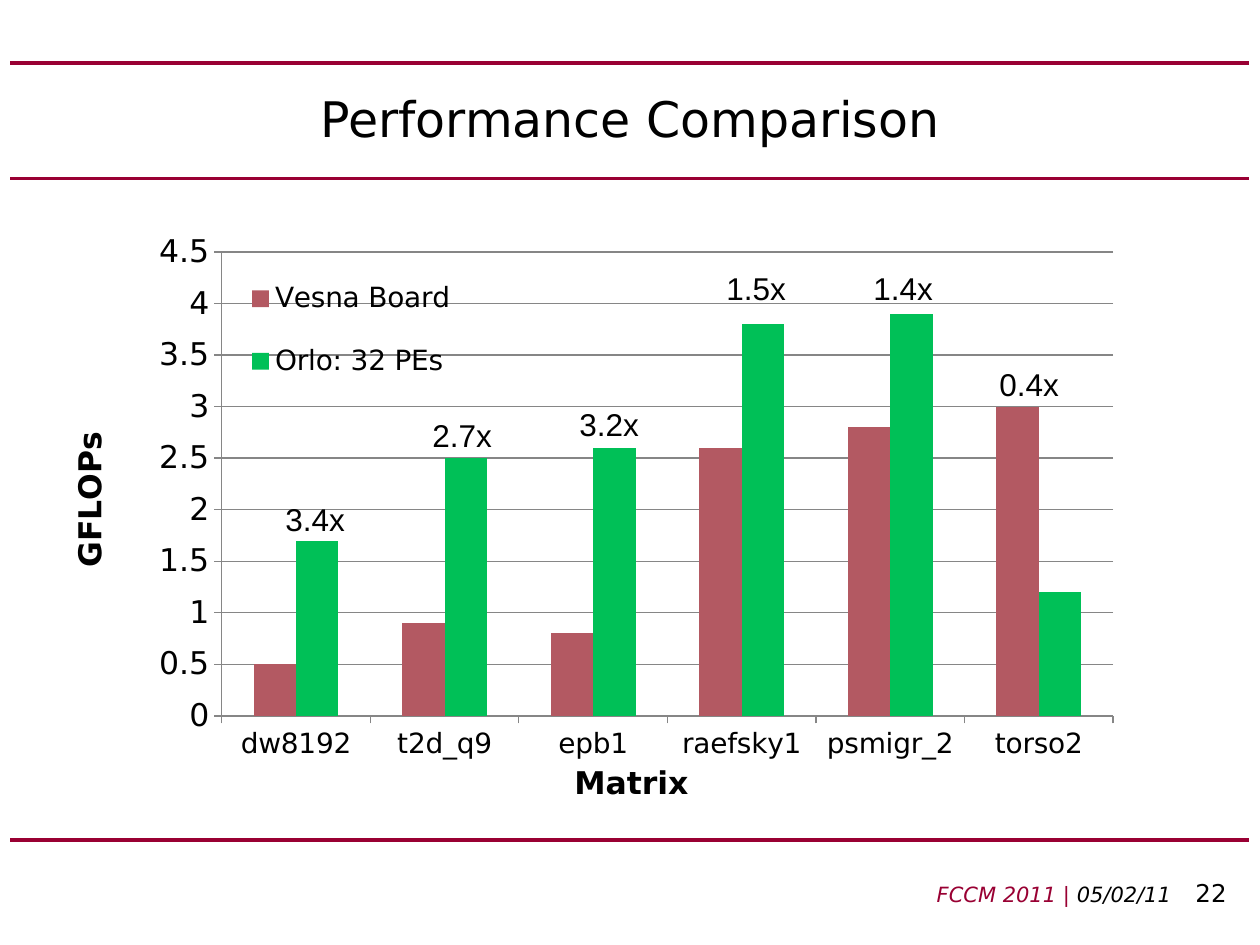
from dataclasses import dataclass

from lxml import etree
from pptx import Presentation
from pptx.chart.data import CategoryChartData
from pptx.dml.color import RGBColor
from pptx.enum.chart import XL_CHART_TYPE, XL_LEGEND_POSITION, XL_TICK_MARK
from pptx.enum.shapes import MSO_CONNECTOR
from pptx.enum.text import MSO_ANCHOR, PP_ALIGN
from pptx.oxml.ns import qn
from pptx.util import Pt

COLUMNS = XL_CHART_TYPE.COLUMN_CLUSTERED
LEGEND_RIGHT = XL_LEGEND_POSITION.RIGHT
TICK_OUTSIDE = XL_TICK_MARK.OUTSIDE
STRAIGHT = MSO_CONNECTOR.STRAIGHT
MIDDLE = MSO_ANCHOR.MIDDLE
LEFT, CENTER, RIGHT = PP_ALIGN.LEFT, PP_ALIGN.CENTER, PP_ALIGN.RIGHT


@dataclass(frozen=True)
class Theme:
    font: str = "DejaVu Sans"
    label_font: str = "Arial"
    text: RGBColor = RGBColor(0, 0, 0)
    accent: RGBColor = RGBColor(0x99, 0x00, 0x33)
    grid: RGBColor = RGBColor(0x86, 0x86, 0x86)
    series: tuple = (RGBColor(0xB3, 0x59, 0x62), RGBColor(0x00, 0xC0, 0x57))
    title_size: int = 28
    large_size: int = 18
    medium_size: int = 16
    page_size: int = 14
    footer_size: int = 12
    chart_size: int = 10


class SlideBuilder:
    def __init__(self, slide, theme):
        self.slide = slide
        self.theme = theme

    def style(self, font, size, color=None, name=None, bold=False, italic=False):
        font.name = name or self.theme.font
        font.size = Pt(size)
        font.color.rgb = color or self.theme.text
        font.bold = bold
        font.italic = italic

    def title(self, text, left, top, width, height):
        shape = self.slide.shapes.title
        shape.left, shape.top = Pt(left), Pt(top)
        shape.width, shape.height = Pt(width), Pt(height)
        shape.text_frame.text = text
        shape.text_frame.vertical_anchor = MIDDLE
        paragraph = shape.text_frame.paragraphs[0]
        paragraph.alignment = CENTER
        self.style(paragraph.runs[0].font, self.theme.title_size)

    def rule(self, left, right, y):
        line = self.slide.shapes.add_connector(STRAIGHT, Pt(left), Pt(y), Pt(right), Pt(y))
        line.line.color.rgb = self.theme.accent
        line.line.width = Pt(2.25)
        etree.SubElement(line._element.spPr, qn("a:effectLst"))

    def text(self, runs, left, top, width, height, alignment=LEFT):
        shape = self.slide.shapes.add_textbox(Pt(left), Pt(top), Pt(width), Pt(height))
        shape.text_frame.word_wrap = True
        paragraph = shape.text_frame.paragraphs[0]
        paragraph.alignment = alignment
        for text, style in runs:
            run = paragraph.add_run()
            run.text = text
            self.style(run.font, **style)

    def place(self, element, index, inner=False, **fractions):
        for old in element.findall(qn("c:layout")):
            element.remove(old)
        layout = etree.Element(qn("c:layout"))
        manual = etree.SubElement(layout, qn("c:manualLayout"))
        if inner:
            etree.SubElement(manual, qn("c:layoutTarget")).set("val", "inner")
        for mode in ("xMode", "yMode"):
            etree.SubElement(manual, qn("c:" + mode)).set("val", "edge")
        for key, value in fractions.items():
            etree.SubElement(manual, qn("c:" + key)).set("val", str(value))
        element.insert(index, layout)

    def axis(self, axis, title, label_size, x, y):
        axis.major_tick_mark = TICK_OUTSIDE
        axis.format.line.color.rgb = self.theme.grid
        self.style(axis.tick_labels.font, label_size)
        frame = axis.axis_title.text_frame
        frame.text = title
        self.style(frame.paragraphs[0].runs[0].font, self.theme.large_size, bold=True)
        self.place(axis.axis_title._element, 1, x=x, y=y)

    def column_chart(self, categories, series, left, top, width, height):
        data = CategoryChartData()
        data.categories = categories
        for name, values in series.items():
            data.add_series(name, values)
        chart = self.slide.shapes.add_chart(
            COLUMNS, Pt(left), Pt(top), Pt(width), Pt(height), data).chart
        chart.has_title = False
        self.style(chart.font, self.theme.chart_size)
        plot = chart.plots[0]
        plot.gap_width, plot.overlap = 150, 0
        plot.vary_by_categories = False
        for item, color in zip(plot.series, self.theme.series):
            item.format.fill.solid()
            item.format.fill.fore_color.rgb = color
        self.axis(chart.category_axis, "Matrix", self.theme.medium_size, 0.43, 0.91)
        self.axis(chart.value_axis, "GFLOPs", self.theme.large_size, 0, 0.36)
        chart.value_axis.minimum_scale = 0
        chart.value_axis.maximum_scale = 4.5
        chart.value_axis.major_unit = 0.5
        chart.value_axis.major_gridlines.format.line.color.rgb = self.theme.grid
        chart.has_legend = True
        chart.legend.position = LEGEND_RIGHT
        chart.legend.include_in_layout = False
        self.style(chart.legend.font, self.theme.medium_size)
        self.place(chart.legend._element, 1, x=0.13, y=0.07, w=0.23, h=0.26)
        plot_area = chart._chartSpace.chart.plotArea
        self.place(plot_area, 0, inner=True, x=0.135, y=0.07, w=0.758, h=0.773)


theme = Theme()
presentation = Presentation()
presentation.slide_width, presentation.slide_height = Pt(720), Pt(540)
builder = SlideBuilder(presentation.slides.add_slide(presentation.slide_layouts[5]), theme)

for rule_y in (36, 102, 480):
    builder.rule(6, 714, rule_y)
builder.title("Performance Comparison", 36, 36, 648, 63)
builder.column_chart(
    ("dw8192", "t2d_q9", "epb1", "raefsky1", "psmigr_2", "torso2"),
    {"Vesna Board": (0.5, 0.9, 0.8, 2.6, 2.8, 3),
     "Orlo: 32 PEs": (1.7, 2.5, 2.6, 3.8, 3.9, 1.2)},
    36, 120, 672, 344)

footer = {"size": theme.footer_size, "italic": True}
builder.text(
    (("FCCM 2011 | ", {**footer, "color": theme.accent}),
     ("05/02/11\t ", footer),
     ("22", {"size": theme.page_size})),
    222, 498, 486, 24, RIGHT)

speedups = (("3.4x", 156, 282), ("2.7x", 240, 234), ("3.2x", 324, 228),
            ("1.5x", 408, 150), ("1.4x", 492, 150), ("0.4x", 564, 205))
for speedup, left, top in speedups:
    builder.text(((speedup, {"size": theme.large_size, "name": theme.label_font}),),
                 left, top, 66, 29)

presentation.save("out.pptx")
